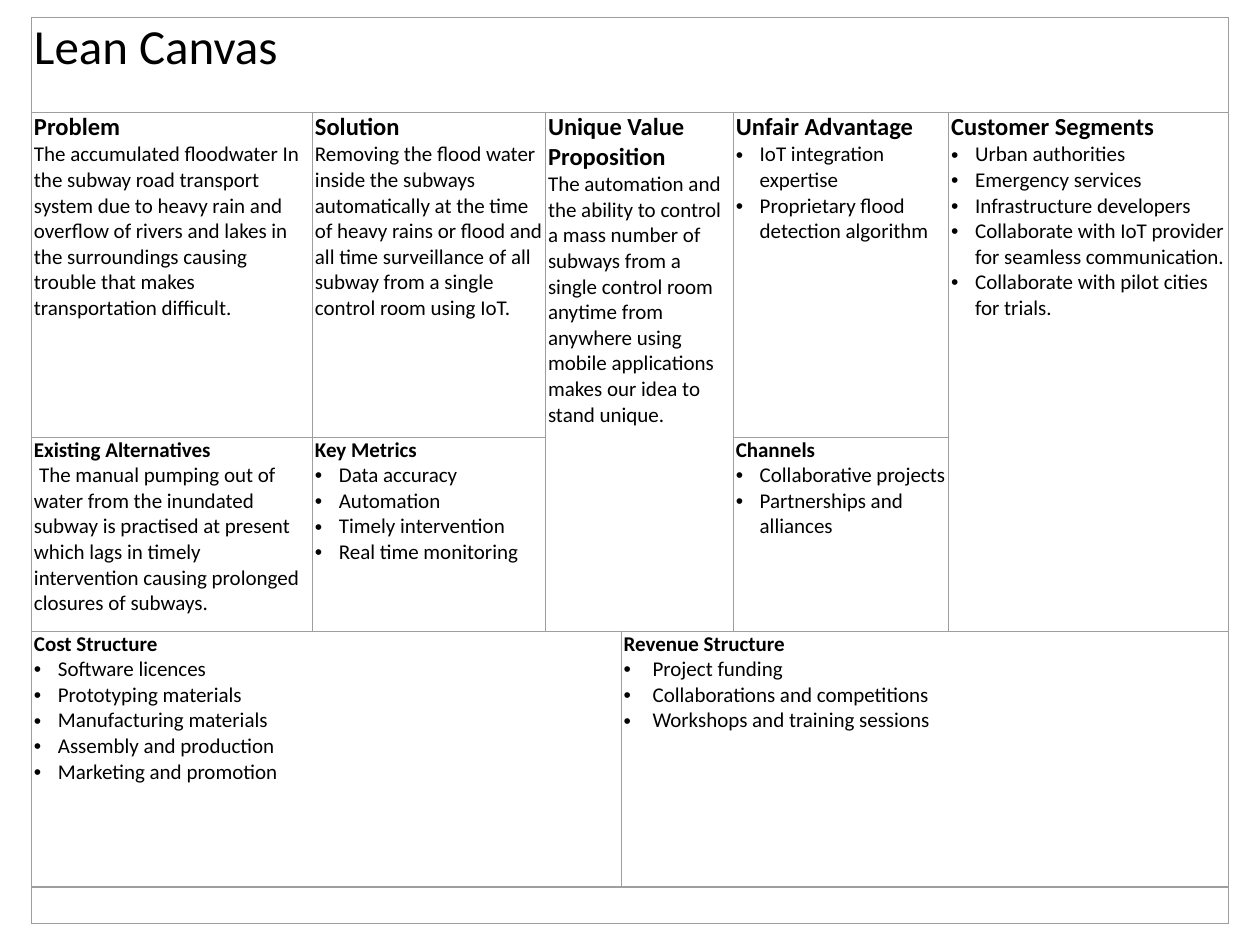
from dataclasses import dataclass

from lxml.etree import SubElement
from pptx import Presentation
from pptx.dml.color import RGBColor
from pptx.enum.text import MSO_ANCHOR
from pptx.oxml import parse_xml
from pptx.oxml.ns import nsdecls, qn
from pptx.util import Inches, Pt


@dataclass(frozen=True)
class Theme:
    font: str = "Calibri"
    text: str = "000000"
    border: str = "9E9E9E"
    border_width: float = 0.75
    title_size: int = 28
    heading_size: int = 14
    body_size: int = 12
    bullet_indent: float = 0.19


class CanvasBuilder:
    def __init__(self, slide, theme):
        self.slide = slide
        self.theme = theme

    def add_table(self, left, top, columns, rows):
        frame = self.slide.shapes.add_table(
            len(rows), len(columns), Inches(left), Inches(top),
            Inches(sum(columns)), Inches(sum(rows)))
        table = frame.table
        table.first_row = False
        table.horz_banding = False
        for column, width in zip(table.columns, columns):
            column.width = Inches(width)
        for row, height in zip(table.rows, rows):
            row.height = Inches(height)
        for cell in table.iter_cells():
            self.style_cell(cell)
        return table

    def style_cell(self, cell):
        cell.margin_left = cell.margin_right = Inches(0.02)
        cell.margin_top = cell.margin_bottom = 0
        cell.vertical_anchor = MSO_ANCHOR.TOP
        cell.fill.background()
        properties = cell._tc.get_or_add_tcPr()
        for index, side in enumerate(("lnL", "lnR", "lnT", "lnB")):
            properties.insert(index, parse_xml(
                f'<a:{side} {nsdecls("a")} w="{Pt(self.theme.border_width)}">'
                f'<a:solidFill><a:srgbClr val="{self.theme.border}"/></a:solidFill>'
                f'</a:{side}>'))
        self.style_font(cell.text_frame.paragraphs[0], self.theme.body_size)

    def style_font(self, paragraph, size, bold=False):
        font = paragraph.font
        font.name = self.theme.font
        font.size = Pt(size)
        font.bold = bold
        font.color.rgb = RGBColor.from_string(self.theme.text)

    def add_heading(self, cell, text, size, bold=True):
        paragraph = cell.text_frame.paragraphs[0]
        paragraph.text = text
        self.style_font(paragraph, size, bold)

    def add_body(self, cell, text, first_indent=0):
        paragraph = cell.text_frame.add_paragraph()
        paragraph.text = text
        paragraph._p.get_or_add_pPr().set("indent", str(Inches(first_indent)))
        self.style_font(paragraph, self.theme.body_size)

    def add_bullets(self, cell, items, indent):
        for item in items:
            paragraph = cell.text_frame.add_paragraph()
            paragraph.text = item
            properties = paragraph._p.get_or_add_pPr()
            properties.set("marL", str(Inches(indent)))
            properties.set("indent", str(-Inches(indent)))
            color = SubElement(properties, qn("a:buClr"))
            SubElement(color, qn("a:srgbClr"), val=self.theme.text)
            SubElement(properties, qn("a:buFont"), typeface="Arial")
            SubElement(properties, qn("a:buChar"), char="•")
            self.style_font(paragraph, self.theme.body_size)


COLUMNS = (2.23, 1.85, 0.6, 0.89, 1.71, 2.22)
ROWS = (0.75, 2.58, 1.54, 2.03, 0.29)

# First and last cell of each merged area
MERGES = (
    ((0, 0), (0, 5)),
    ((1, 2), (2, 3)),
    ((1, 5), (2, 5)),
    ((3, 0), (3, 2)),
    ((3, 3), (3, 5)),
    ((4, 0), (4, 5)),
)

# Row, column, heading, then a paragraph or a list of bullets
SECTIONS = (
    (1, 0, "Problem",
     "The accumulated floodwater In the subway road transport system due to heavy "
     "rain and overflow of rivers and lakes in the surroundings causing trouble "
     "that makes transportation difficult."),
    (1, 1, "Solution",
     "Removing the flood water inside the subways automatically at the time of "
     "heavy rains or flood and all time surveillance of all subway from a single "
     "control room using IoT."),
    (1, 2, "Unique Value Proposition",
     "The automation and the ability to control a mass number of subways from a "
     "single control room anytime from anywhere using mobile applications makes "
     "our idea to stand unique."),
    (1, 4, "Unfair Advantage",
     ["IoT integration expertise", "Proprietary flood detection algorithm"]),
    (1, 5, "Customer Segments",
     ["Urban authorities", "Emergency services", "Infrastructure developers",
      "Collaborate with IoT provider for seamless communication.",
      "Collaborate with pilot cities for trials."]),
    (2, 0, "Existing Alternatives",
     "The manual pumping out of water from the inundated subway is practised at "
     "present which lags in timely intervention causing prolonged closures of "
     "subways."),
    (2, 1, "Key Metrics",
     ["Data accuracy", "Automation", "Timely intervention",
      "Real time monitoring"]),
    (2, 4, "Channels",
     ["Collaborative projects", "Partnerships and alliances"]),
    (3, 0, "Cost Structure",
     ["Software licences", "Prototyping materials", "Manufacturing materials",
      "Assembly and production", "Marketing and promotion"]),
    (3, 3, "Revenue Structure",
     ["Project funding", "Collaborations and competitions",
      "Workshops and training sessions"]),
)

# Wider indents for single sections
INDENTS = {"Existing Alternatives": 0.04, "Revenue Structure": 0.23}


def main():
    presentation = Presentation()
    presentation.slide_width = Inches(10)
    presentation.slide_height = Inches(7.5)
    slide = presentation.slides.add_slide(presentation.slide_layouts[6])
    theme = Theme()
    builder = CanvasBuilder(slide, theme)

    # Canvas grid
    table = builder.add_table(0.25, 0.14, COLUMNS, ROWS)
    for first, last in MERGES:
        table.cell(*first).merge(table.cell(*last))

    # Title
    builder.add_heading(table.cell(0, 0), "Lean Canvas", theme.title_size, bold=False)

    # Sections
    for row, column, heading, content in SECTIONS:
        cell = table.cell(row, column)
        size = theme.heading_size if row == 1 else theme.body_size
        builder.add_heading(cell, heading, size)
        if isinstance(content, str):
            builder.add_body(cell, content, INDENTS.get(heading, 0))
        else:
            builder.add_bullets(
                cell, content, INDENTS.get(heading, theme.bullet_indent))

    presentation.save("out.pptx")


if __name__ == "__main__":
    main()
